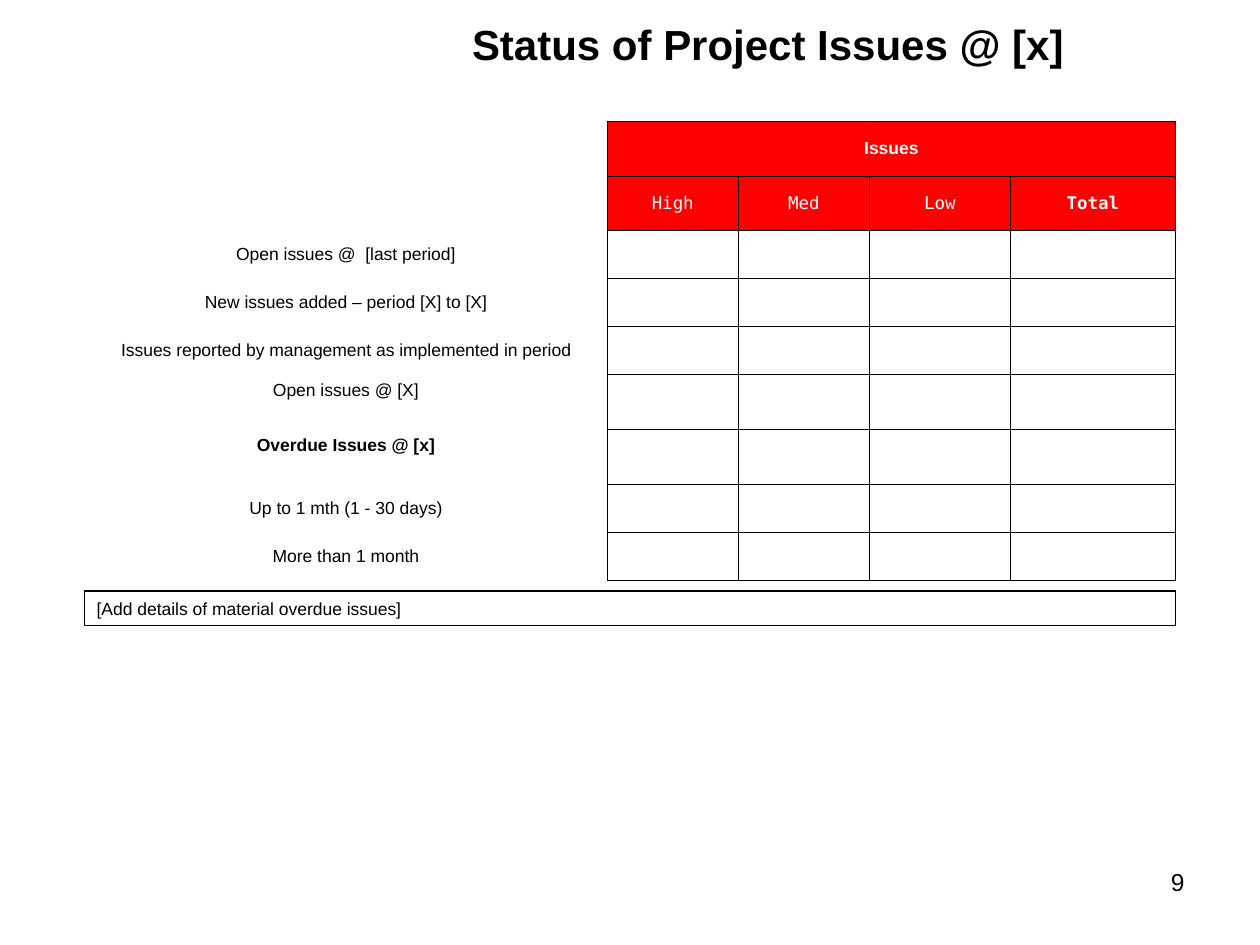
import pptx
import pptx.util
import pptx.dml.color
import pptx.enum.shapes
import pptx.enum.text
import pptx.oxml
import pptx.oxml.ns

Pt = pptx.util.Pt
ALIGN = pptx.enum.text.PP_ALIGN
ANCHOR = pptx.enum.text.MSO_ANCHOR
COLORS = {"text": "000000", "line": "000000", "header": "FF0000", "header_text": "FFFFFF"}
FONT, MONO = "Arial", "DejaVu Sans Mono"

LEVELS = [("High", False), ("Med", False), ("Low", False), ("Total", True)]
# Label, bold, anchor, row height
ISSUE_ROWS = [
    ("Open issues @  [last period]", False, ANCHOR.MIDDLE, 27.4),
    ("New issues added – period [X] to [X]", False, ANCHOR.MIDDLE, 27.4),
    ("Issues reported by management as implemented in period", False, ANCHOR.MIDDLE, 27.4),
    ("Open issues @ [X]", False, ANCHOR.TOP, 31.4),
    ("Overdue Issues @ [x]", True, ANCHOR.TOP, 31.4),
    ("Up to 1 mth (1 - 30 days)", False, ANCHOR.MIDDLE, 27.4),
    ("More than 1 month", False, ANCHOR.MIDDLE, 27.4),
]
HEADER_HEIGHT = 31.4
COLUMN_WIDTHS = [298.8, 74.9, 74.9, 80.6, 94.3]
PLAIN_STYLE = "{2D5ABB26-0587-4C30-8999-92F81FD0307C}"


def rgb(name):
    return pptx.dml.color.RGBColor.from_string(COLORS[name])


def write(tf, text, size, align, color="text", bold=False, font=FONT):
    p = tf.paragraphs[0]
    p.text = text
    p.alignment = align
    p.font.name, p.font.size, p.font.bold = font, Pt(size), bold
    p.font.color.rgb = rgb(color)


def add_text(slide, box, text, size, align, anchor, inset, bold=False):
    tf = slide.shapes.add_textbox(*map(Pt, box)).text_frame
    tf.word_wrap = True
    tf.vertical_anchor = anchor
    tf.margin_left = tf.margin_right = Pt(2 * inset)
    tf.margin_top = tf.margin_bottom = Pt(inset)
    write(tf, text, size, align, bold=bold)


def set_borders(cell, sides):
    tc_pr = cell._tc.get_or_add_tcPr()
    for i, side in enumerate("LRTB"):
        paint = (f'<a:solidFill><a:srgbClr val="{COLORS["line"]}"/></a:solidFill>'
                 if side in sides else "<a:noFill/>")
        tc_pr.insert(i, pptx.oxml.parse_xml(
            f'<a:ln{side} {pptx.oxml.ns.nsdecls("a")} w="{Pt(0.45)}">{paint}</a:ln{side}>'))


def add_issue_table(slide, left, top):
    heights = [HEADER_HEIGHT] * 2 + [row[3] for row in ISSUE_ROWS]
    table_frame = slide.shapes.add_table(
        len(heights), len(COLUMN_WIDTHS), Pt(left), Pt(top),
        Pt(sum(COLUMN_WIDTHS)), Pt(sum(heights)))
    table = table_frame.table
    table.first_row = table.horz_banding = False
    table._tbl.tblPr.find(pptx.oxml.ns.qn("a:tableStyleId")).text = PLAIN_STYLE
    for column, width in zip(table.columns, COLUMN_WIDTHS):
        column.width = Pt(width)

    # Grid: label cells only have a right border
    for r, height in enumerate(heights):
        table.rows[r].height = Pt(height)
        for c in range(len(COLUMN_WIDTHS)):
            cell = table.cell(r, c)
            cell.vertical_anchor = ANCHOR.MIDDLE
            cell.text_frame.paragraphs[0].font.size = Pt(10)
            if r < 2 and c > 0:
                cell.fill.solid()
                cell.fill.fore_color.rgb = rgb("header")
            else:
                cell.fill.background()
            set_borders(cell, "LRTB" if c else "R")

    # Headings
    table.cell(0, 1).merge(table.cell(0, len(LEVELS)))
    write(table.cell(0, 1).text_frame, "Issues", 10, ALIGN.CENTER, "header_text", True)
    for c, (level, bold) in enumerate(LEVELS, 1):
        write(table.cell(1, c).text_frame, level, 10, ALIGN.CENTER, "header_text", bold, MONO)

    # Row labels
    for r, (label, bold, anchor, _) in enumerate(ISSUE_ROWS, 2):
        cell = table.cell(r, 0)
        cell.vertical_anchor = anchor
        write(cell.text_frame, label, 10, ALIGN.CENTER, bold=bold)


def add_details_box(slide, box):
    sp = slide.shapes.add_shape(pptx.enum.shapes.MSO_SHAPE.RECTANGLE, *map(Pt, box))
    sp.shadow.inherit = False
    sp.fill.background()
    sp.line.color.rgb = rgb("line")
    sp.line.width = Pt(0.75)
    tf = sp.text_frame
    tf.word_wrap = True
    tf.vertical_anchor = ANCHOR.MIDDLE
    write(tf, "[Add details of material overdue issues]", 10, ALIGN.LEFT)


def add_status_slide(prs):
    slide = prs.slides.add_slide(prs.slide_layouts[6])
    add_text(slide, (246.2, 7.2, 385.2, 36), "Status of Project Issues @ [x]", 24,
             ALIGN.CENTER, ANCHOR.MIDDLE, 0, bold=True)
    add_text(slide, (516.2, 491.8, 167.8, 37.4), "9", 14, ALIGN.RIGHT, ANCHOR.TOP, 3.6)
    add_issue_table(slide, 48.2, 69.1)
    add_details_box(slide, (48.2, 337.7, 623.5, 19.6))


def main():
    prs = pptx.Presentation()
    prs.slide_width, prs.slide_height = Pt(720), Pt(540)
    add_status_slide(prs)
    prs.save("out.pptx")


if __name__ == "__main__":
    main()
